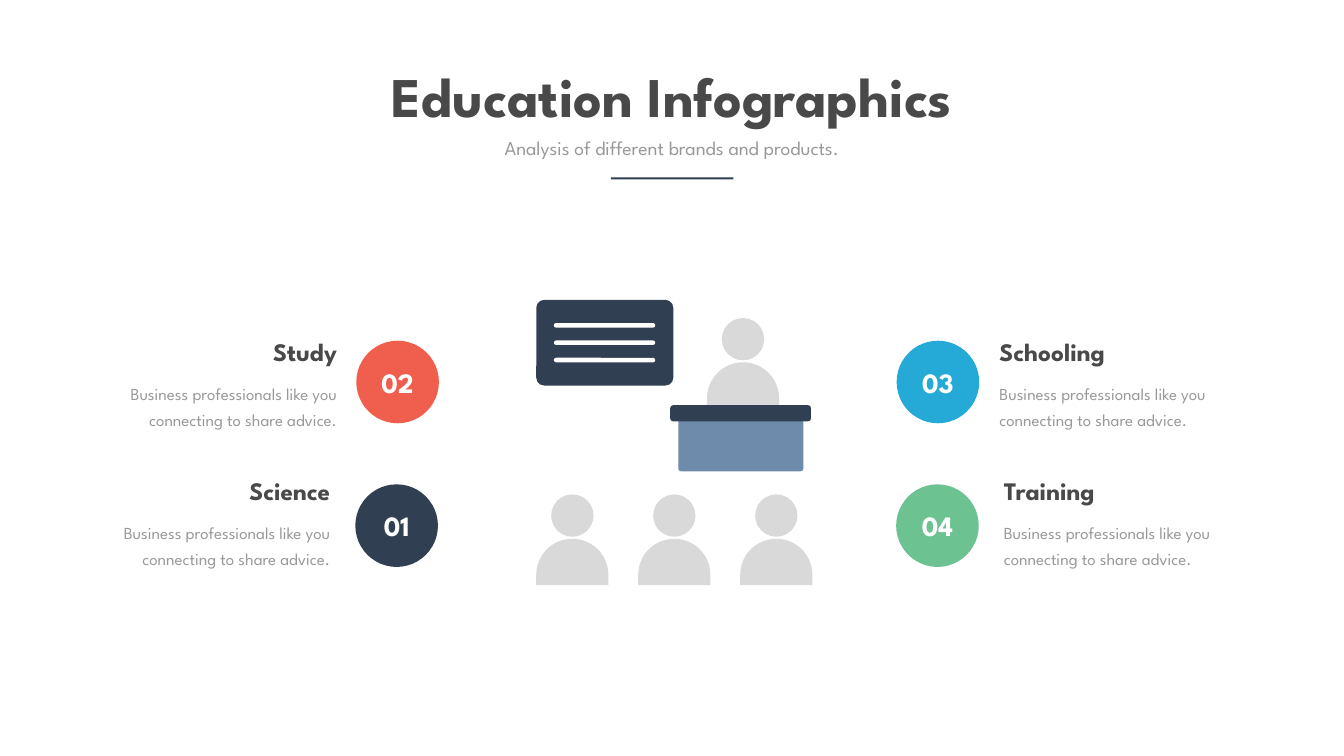
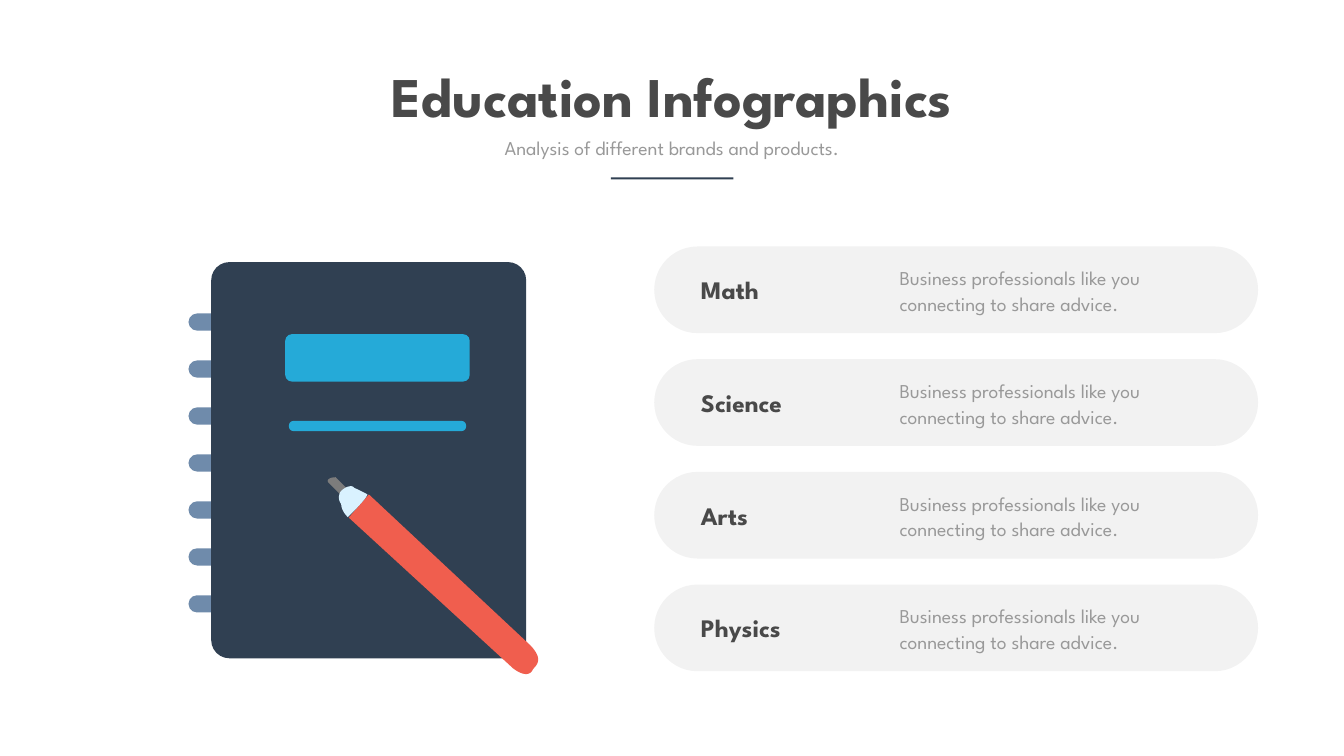
"""Build two education infographic slides: a classroom scene and a notebook with subjects."""
from lxml.etree import SubElement
from pptx import Presentation
from pptx.dml.color import RGBColor
from pptx.enum.shapes import MSO_SHAPE
from pptx.enum.text import MSO_ANCHOR, PP_ALIGN
from pptx.oxml.ns import qn
from pptx.util import Pt

NAVY, STEEL, BLUE = "304052", "6F8BAB", "25AAD8"
CORAL, GREEN, SILVER = "F05E4E", "6DC292", "D9D9D9"
DARK, GREY, WHITE = "494949", "999999", "FFFFFF"
FONT = "League Spartan"
ADVICE = "Business professionals like you connecting to share advice."
LEFT, CENTER, RIGHT = PP_ALIGN.LEFT, PP_ALIGN.CENTER, PP_ALIGN.RIGHT


def add_block(slide, preset, box, color, radius=None):
    """Add a plain filled preset shape; radius is the corner radius in points."""
    block = slide.shapes.add_shape(preset, *[Pt(length) for length in box])
    block.shadow.inherit = False
    block.fill.solid()
    block.fill.fore_color.rgb = RGBColor.from_string(color)
    block.line.fill.background()
    if radius is not None:
        block.adjustments[0] = min(0.5, radius / min(box[2:]))
    return block


def add_text(slide, box, text, size, color, bold=False, align=LEFT, spacing=None, wrap=True):
    """Add a text box with one formatted paragraph."""
    frame = slide.shapes.add_textbox(*[Pt(length) for length in box]).text_frame
    frame.word_wrap = wrap
    frame.text = text
    paragraph = frame.paragraphs[0]
    paragraph.alignment = align
    if spacing:
        paragraph.line_spacing = Pt(spacing)
    font = paragraph.runs[0].font
    font.name, font.size, font.bold = FONT, Pt(size), bold
    font.color.rgb = RGBColor.from_string(color)
    return frame


deck = Presentation()
deck.slide_width, deck.slide_height = Pt(1920), Pt(1080)
classroom, subjects = [deck.slides.add_slide(deck.slide_layouts[6]) for _ in range(2)]

for slide in (classroom, subjects):
    add_text(slide, (502, 84.2, 916.5, 104.4), "Education Infographics", 80, DARK,
             True, CENTER, wrap=False)
    add_text(slide, (615.6, 190.8, 688.3, 41), "Analysis of different brands and products.",
             28, GREY, align=CENTER)
    add_block(slide, MSO_SHAPE.RECTANGLE, (872.6, 253.4, 175, 3), NAVY)

outlines = []
add_block(classroom, MSO_SHAPE.ROUNDED_RECTANGLE, (1010, 517.5, 103, 146), SILVER, 51.5)
add_block(classroom, MSO_SHAPE.OVAL, (1031.2, 454.3, 60.5, 60.5), SILVER)
add_block(classroom, MSO_SHAPE.ROUNDED_RECTANGLE, (969, 580.3, 178.6, 93), STEEL, 4)
add_block(classroom, MSO_SHAPE.ROUNDED_RECTANGLE, (957.5, 578.9, 201, 23), NAVY, 4.3)

for seat in range(3):
    x = 766.1 + seat * 145.7
    add_block(classroom, MSO_SHAPE.OVAL, (x + 21.3, 706.3, 60.5, 60.5), SILVER)
    outlines.append((classroom, SILVER, [
        [(x, 836)], [(x, 821)],
        [(x, 792.5), (x + 23, 769.7), (x + 51.5, 769.7)],
        [(x + 80, 769.7), (x + 103, 792.5), (x + 103, 821)],
        [(x + 103, 836)]]))

add_block(classroom, MSO_SHAPE.ROUNDED_RECTANGLE, (766.1, 428.4, 195.8, 122.4), NAVY, 11.3)
for row in range(3):
    add_block(classroom, MSO_SHAPE.ROUNDED_RECTANGLE,
              (791.3, 461.5 + row * 24.8, 144.7, 6.5), WHITE, 3.25)

topics = [
    ("01", "Science", NAVY, 507.6, 691.9, 478.8, 676.1, RIGHT),
    ("02", "Study", CORAL, 509, 486.7, 488.5, 477.4, RIGHT),
    ("03", "Schooling", BLUE, 1280.9, 486.7, 1420.6, 477.4, LEFT),
    ("04", "Training", GREEN, 1280.2, 691.9, 1427, 676.1, LEFT),
]
for number, topic, color, circle_x, circle_y, edge, top, align in topics:
    heading_x, advice_x, advice_width = edge, edge, 406.8
    if align == RIGHT:
        advice_width = 392.4
        heading_x, advice_x = edge - 352, edge - advice_width
    add_text(classroom, (heading_x, top, 352, 51), topic, 36, DARK, True, align)
    add_text(classroom, (advice_x, top + 60, advice_width, 81.4), ADVICE, 24, GREY,
             align=align, spacing=36.6)
    add_block(classroom, MSO_SHAPE.OVAL, (circle_x, circle_y, 118, 118), color)
    numeral = add_text(classroom, (circle_x, circle_y, 118, 118), number, 40, WHITE, True, CENTER)
    numeral.vertical_anchor = MSO_ANCHOR.MIDDLE

for row, subject in enumerate(["Math", "Science", "Arts", "Physics"]):
    top = 352.1 + row * 161
    pill = add_block(subjects, MSO_SHAPE.ROUNDED_RECTANGLE, (934.6, top, 862.6, 123.8),
                     "808080", 62)
    tint = pill.fill._xPr.find(qn("a:solidFill"))[0]
    SubElement(tint, qn("a:alpha"), val="10000")
    add_text(subjects, (994.3, top + 36.7, 283.7, 51), subject, 36, DARK, True)
    add_text(subjects, (1278, top + 21.6, 443.5, 81.4), ADVICE, 28, GREY, spacing=36.6)

for ring in range(7):
    add_block(subjects, MSO_SHAPE.ROUNDED_RECTANGLE,
              (269.3, 447.8 + ring * 67.1, 67, 24.6), STEEL, 12.3)
add_block(subjects, MSO_SHAPE.ROUNDED_RECTANGLE, (301.7, 374.4, 450, 566), NAVY, 26)
add_block(subjects, MSO_SHAPE.ROUNDED_RECTANGLE, (407.5, 477.4, 263.5, 67.7), BLUE, 9.4)
add_block(subjects, MSO_SHAPE.ROUNDED_RECTANGLE, (412.6, 601.2, 253.4, 14.8), BLUE, 7)

outlines += [
    (subjects, CORAL, [
        [(761.8, 955.4)], [(771.8, 946.1), (771.8, 936.7), (757.4, 921.6)],
        [(527, 706.3)], [(498.2, 739.4)], [(733.7, 955.4)],
        [(748.1, 965.5), (757.4, 965.5), (761.8, 955.4)]]),
    (subjects, "7C7C7C", [
        [(470.2, 690.5)], [(493.2, 713.5)], [(502.6, 704.9)], [(479.5, 681.8)],
        [(470.2, 681.8), (465.1, 686.2), (470.2, 690.5)]]),
    (subjects, "D9F2FF", [
        [(496.8, 738.7)], [(501.8, 734.4), (524.9, 710.6), (524.9, 706.3)],
        [(524.9, 706.3), (515.5, 701.3), (506.2, 697)],
        [(501.8, 691.2), (491.8, 697), (487.4, 701.3)],
        [(483.1, 706.3), (483.1, 715), (487.4, 720)],
        [(487.4, 730.1), (496.8, 738.7), (496.8, 738.7)]]),
]
for slide, color, segments in outlines:
    points = []
    for segment in segments:
        if len(segment) == 1:
            points += segment
            continue
        curve = [points[-1], *segment]
        for step in range(1, 13):
            t = step / 12
            weights = ((1 - t) ** 3, 3 * t * (1 - t) ** 2, 3 * t * t * (1 - t), t ** 3)
            points.append(tuple(sum(w * p[axis] for w, p in zip(weights, curve))
                                for axis in (0, 1)))
    corners = [(Pt(x), Pt(y)) for x, y in points]
    builder = slide.shapes.build_freeform(*corners[0], scale=1.0)
    builder.add_line_segments(corners[1:], close=True)
    part = builder.convert_to_shape()
    part.shadow.inherit = False
    part.fill.solid()
    part.fill.fore_color.rgb = RGBColor.from_string(color)
    part.line.fill.background()

deck.save("out.pptx")
